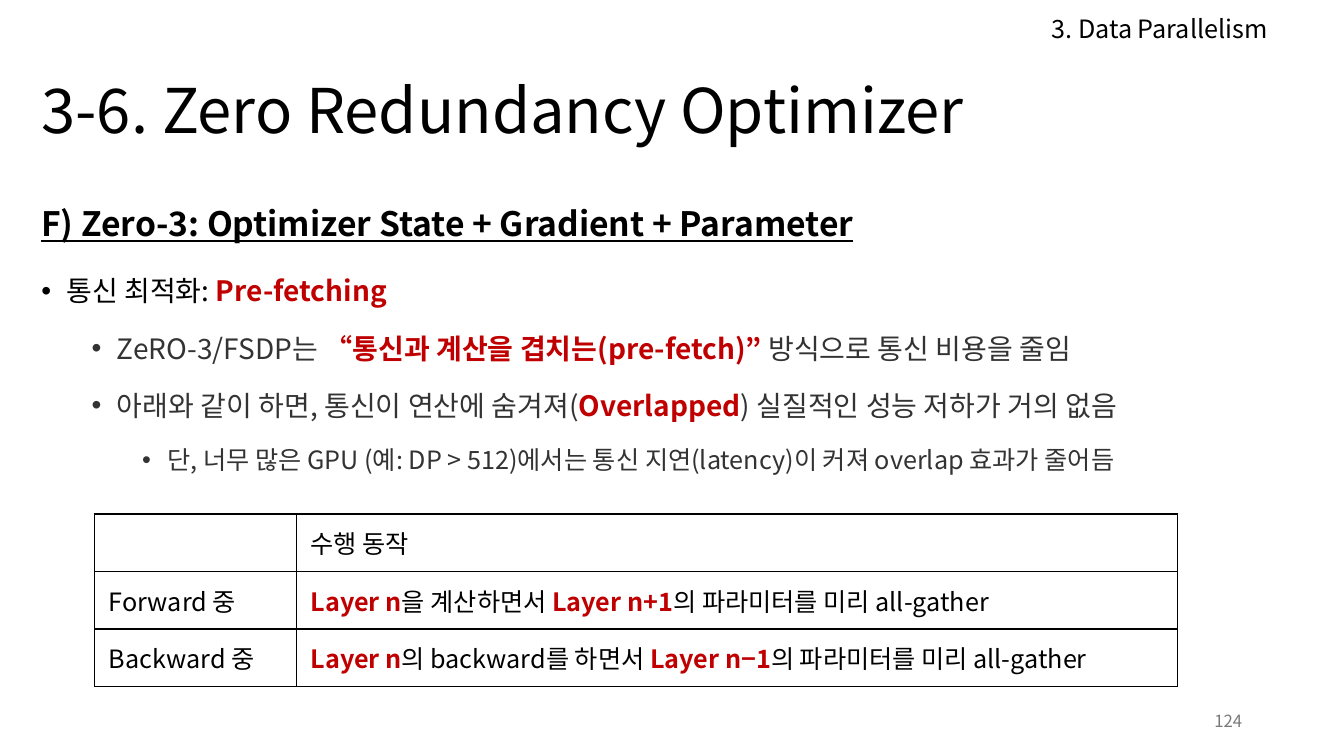
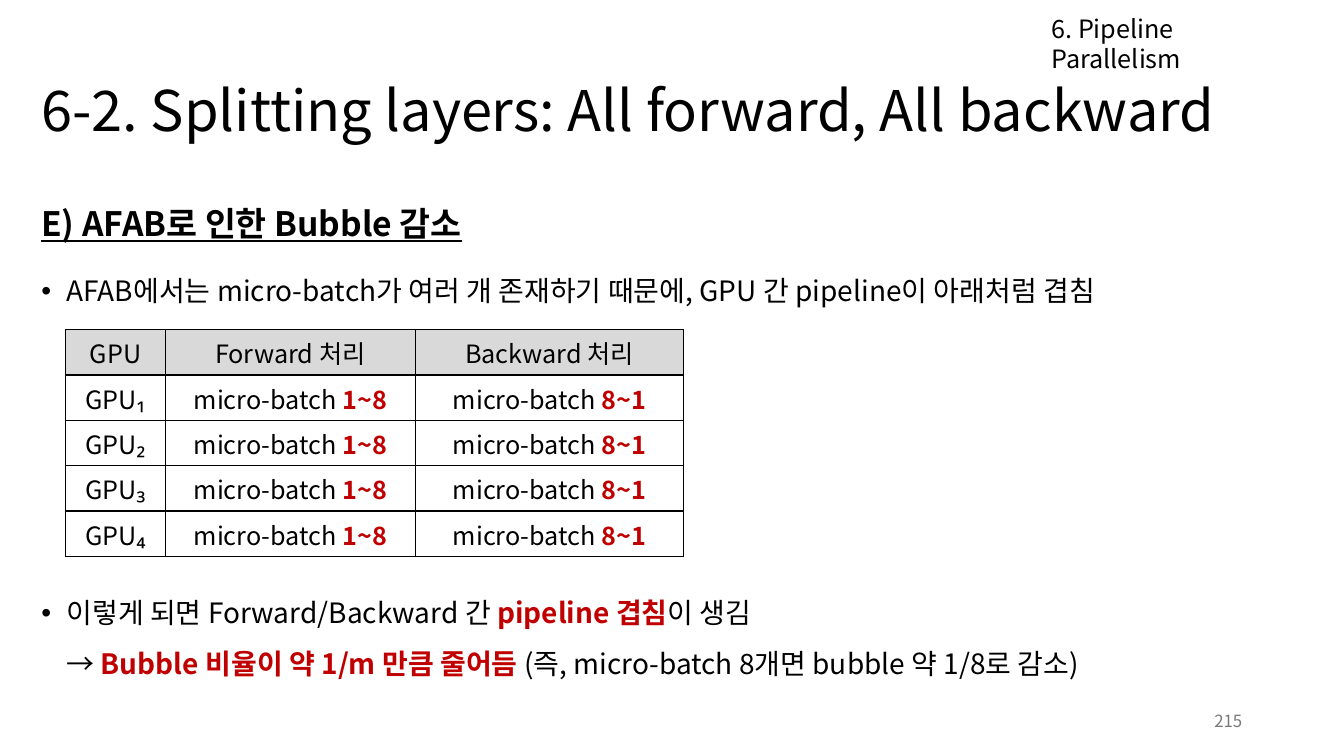
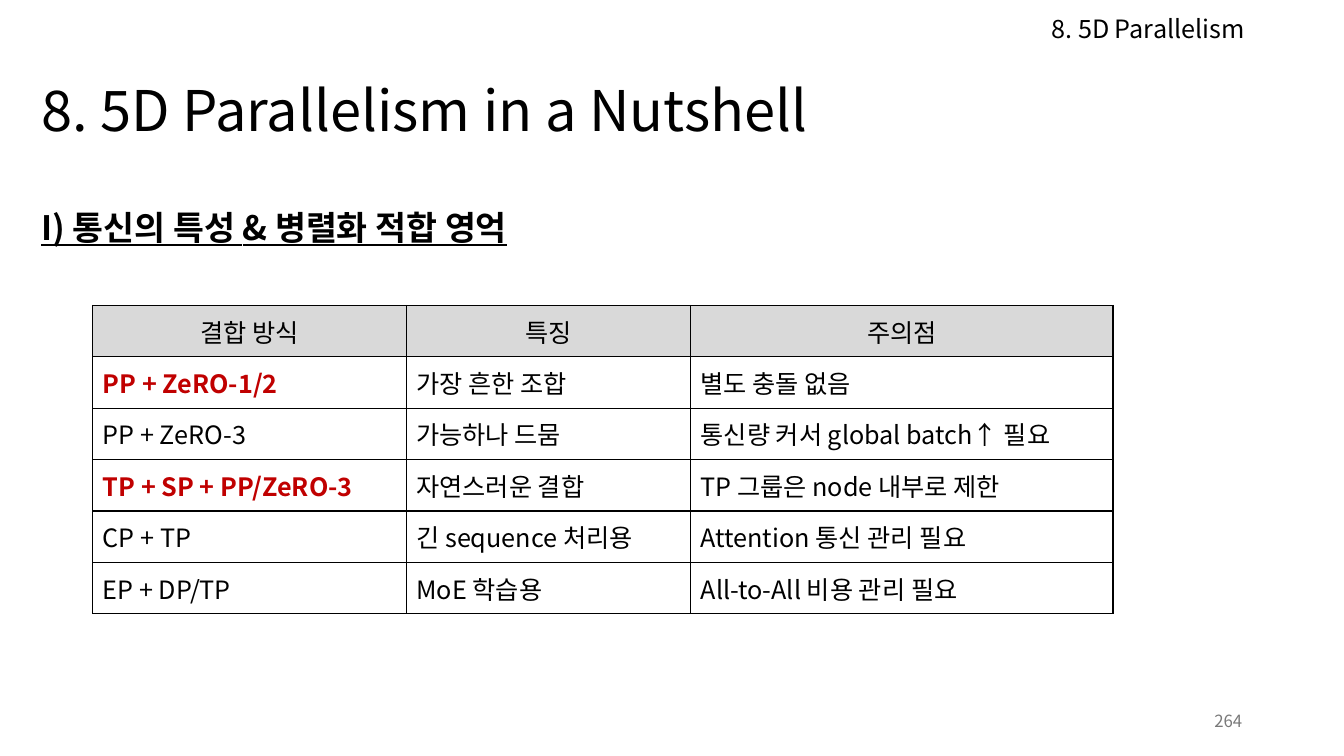
from lxml.etree import SubElement as Sub
from pptx import Presentation
from pptx.dml.color import RGBColor as Rgb
from pptx.enum.text import MSO_ANCHOR as Anchor, MSO_AUTO_SIZE as Fit, PP_ALIGN as Align
from pptx.oxml.ns import qn
from pptx.util import Emu, Pt

FONT = "Noto Sans CJK KR"
BLACK, RED, DARK, GREY, SHADE = "000000", "C00000", "333333", "797979", "D9D9D9"
PX = 9144
PAGE = (1333, 750)
TITLE = (31, 68, 1274, 89)
BODY = (31, 176, 1274, 574)
TOPIC = (1033, 8, 272, 40)
NUMBER = (942, 695, 300, 40)
LEVELS = [(20, BLACK, 10), (20, DARK, 5), (18, DARK, 5)]

SLIDES = [
    {
        "topic": "3. Data Parallelism",
        "title": ("3-6. Zero Redundancy Optimizer", 44),
        "head": ("F) Zero-3: Optimizer State + Gradient + Parameter", 1.5),
        "points": [
            (0, "통신 최적화: *Pre-fetching*"),
            (1, "ZeRO-3/FSDP는 *“통신과 계산을 겹치는(pre-fetch)”* 방식으로 통신 비용을 줄임"),
            (1, "아래와 같이 하면, 통신이 연산에 숨겨져(*Overlapped*) 실질적인 성능 저하가 거의 없음"),
            (2, "단, 너무 많은 GPU (예: DP > 512)에서는 통신 지연(latency)이 커져 overlap 효과가 줄어듬"),
        ],
        "table": {
            "at": (94, 510), "cols": [200, 874], "row": 57, "pad": (14, 6),
            "shade": 0, "center": 0,
            "rows": [
                ("", "수행 동작"),
                ("Forward 중", "*Layer n*을 계산하면서 *Layer n+1*의 파라미터를 미리 all-gather"),
                ("Backward 중", "*Layer n*의 backward를 하면서 *Layer n−1*의 파라미터를 미리 all-gather"),
            ],
        },
        "number": "124",
    },
    {
        "topic": "6. Pipeline Parallelism",
        "title": ("6-2. Splitting layers: All forward, All backward", 40),
        "head": ("E) AFAB로 인한 Bubble 감소", 1.5),
        "points": [
            (0, "AFAB에서는 micro-batch가 여러 개 존재하기 때문에, GPU 간 pipeline이 아래처럼 겹침"),
            (0, "이렇게 되면 Forward/Backward 간 *pipeline 겹침*이 생김\n→ "
                "*Bubble 비율이 약 1/m 만큼 줄어듬 *(즉, micro-batch 8개면 bubble 약 1/8로 감소)", 194),
        ],
        "table": {
            "at": (65, 327), "cols": [99, 248, 266], "row": 45, "pad": (10, 5),
            "shade": 1, "center": 5,
            "rows": [("GPU", "Forward 처리", "Backward 처리")]
            + [("GPU" + n, "micro-batch *1~8*", "micro-batch *8~1*") for n in "₁₂₃₄"],
        },
        "number": "215",
    },
    {
        "topic": "8. 5D Parallelism",
        "title": ("8. 5D Parallelism in a Nutshell", 40),
        "head": ("I) 통신의 특성 & 병렬화 적합 영억", 1.6),
        "points": [],
        "table": {
            "at": (92, 303), "cols": [311, 282, 419], "row": 51, "pad": (10, 5),
            "shade": 1, "center": 1,
            "rows": [
                ("결합 방식", "특징", "주의점"),
                ("*PP + ZeRO-1/2*", "가장 흔한 조합", "별도 충돌 없음"),
                ("PP + ZeRO-3", "가능하나 드뭄", "통신량 커서 global batch↑ 필요"),
                ("*TP + SP + PP/ZeRO-3*", "자연스러운 결합", "TP 그룹은 node 내부로 제한"),
                ("CP + TP", "긴 sequence 처리용", "Attention 통신 관리 필요"),
                ("EP + DP/TP", "MoE 학습용", "All-to-All 비용 관리 필요"),
            ],
        },
        "number": "264",
    },
]


def px(*nums):
    return [Emu(n * PX) for n in nums]


def tint(code):
    return Rgb.from_string(code)


def style(run, size, color, bold=False):
    font = run.font
    font.size, font.bold, font.name = Pt(size), bold, FONT
    font.color.rgb = tint(color)
    Sub(run._r.get_or_add_rPr(), qn("a:ea"), typeface=FONT)


def write(para, text, size, color=BLACK, bold=False):
    for i, part in enumerate(text.split("*")):
        hot = i % 2 == 1
        for j, line in enumerate(part.split("\n")):
            if j:
                para.add_line_break()
            if line:
                run = para.add_run()
                run.text = line
                style(run, size, RED if hot else color, bold or hot)


def bullet(para, level):
    props = para._p.get_or_add_pPr()
    left, hang = px(25 + 50 * level, -25)
    props.set("marL", str(left))
    props.set("indent", str(hang))
    Sub(props, qn("a:buChar"), char="•")
    para.level = level


def fill_body(frame, head, points):
    frame.auto_size = Fit.NONE
    text, lead = head
    para = frame.paragraphs[0]
    props = para._p.get_or_add_pPr()
    props.set("marL", "0")
    props.set("indent", "0")
    Sub(props, qn("a:buNone"))
    para.line_spacing, para.space_before = lead, Pt(0)
    write(para, text, 24, bold=True)
    para.runs[0].font.underline = True
    for level, text, *gap in points:
        size, color, space = LEVELS[level]
        para = frame.add_paragraph()
        bullet(para, level)
        para.line_spacing = 1.5
        para.space_before = Pt(gap[0] if gap else space)
        write(para, text, size, color)


def label(slide, box, text, size, color, align=Align.LEFT, anchor=Anchor.TOP):
    frame = slide.shapes.add_textbox(*px(*box)).text_frame
    frame.word_wrap, frame.vertical_anchor = True, anchor
    para = frame.paragraphs[0]
    para.alignment = align
    write(para, text, size, color)


def border(cell):
    props = cell._tc.get_or_add_tcPr()
    for side in ("lnL", "lnR", "lnT", "lnB"):
        line = Sub(props, qn("a:" + side), w=str(Pt(1)))
        Sub(Sub(line, qn("a:solidFill")), qn("a:srgbClr"), val=BLACK)


def add_grid(slide, data):
    rows, cols = data["rows"], data["cols"]
    box = px(*data["at"], sum(cols), data["row"] * len(rows))
    grid = slide.shapes.add_table(len(rows), len(cols), *box).table
    grid.first_row = grid.horz_banding = False
    for col, wide in zip(grid.columns, px(*cols)):
        col.width = wide
    side, edge = px(*data["pad"])
    for r, row in enumerate(rows):
        grid.rows[r].height = px(data["row"])[0]
        for c, text in enumerate(row):
            cell = grid.cell(r, c)
            border(cell)
            if r < data["shade"]:
                cell.fill.solid()
                cell.fill.fore_color.rgb = tint(SHADE)
            else:
                cell.fill.background()
            cell.margin_left = cell.margin_right = side
            cell.margin_top = cell.margin_bottom = edge
            cell.vertical_anchor = Anchor.MIDDLE
            para = cell.text_frame.paragraphs[0]
            para.alignment = Align.CENTER if r < data["center"] else Align.LEFT
            write(para, text, 18)


def build(deck, layout, data):
    slide = deck.slides.add_slide(layout)
    frame = slide.shapes.title.text_frame
    frame.auto_size, frame.vertical_anchor = Fit.NONE, Anchor.MIDDLE
    text, size = data["title"]
    frame.text = text
    para = frame.paragraphs[0]
    para.alignment, para.line_spacing = Align.LEFT, 0.9
    style(para.runs[0], size, BLACK)
    label(slide, TOPIC, data["topic"], 18, BLACK)
    fill_body(slide.placeholders[1].text_frame, data["head"], data["points"])
    add_grid(slide, data["table"])
    label(slide, NUMBER, data["number"], 12, GREY, Align.RIGHT, Anchor.MIDDLE)


def main():
    deck = Presentation()
    deck.slide_width, deck.slide_height = px(*PAGE)
    layout = deck.slide_layouts[1]
    for hold, box in zip(layout.placeholders, (TITLE, BODY)):
        hold.left, hold.top, hold.width, hold.height = px(*box)
    for data in SLIDES:
        build(deck, layout, data)
    deck.save("out.pptx")


if __name__ == "__main__":
    main()
